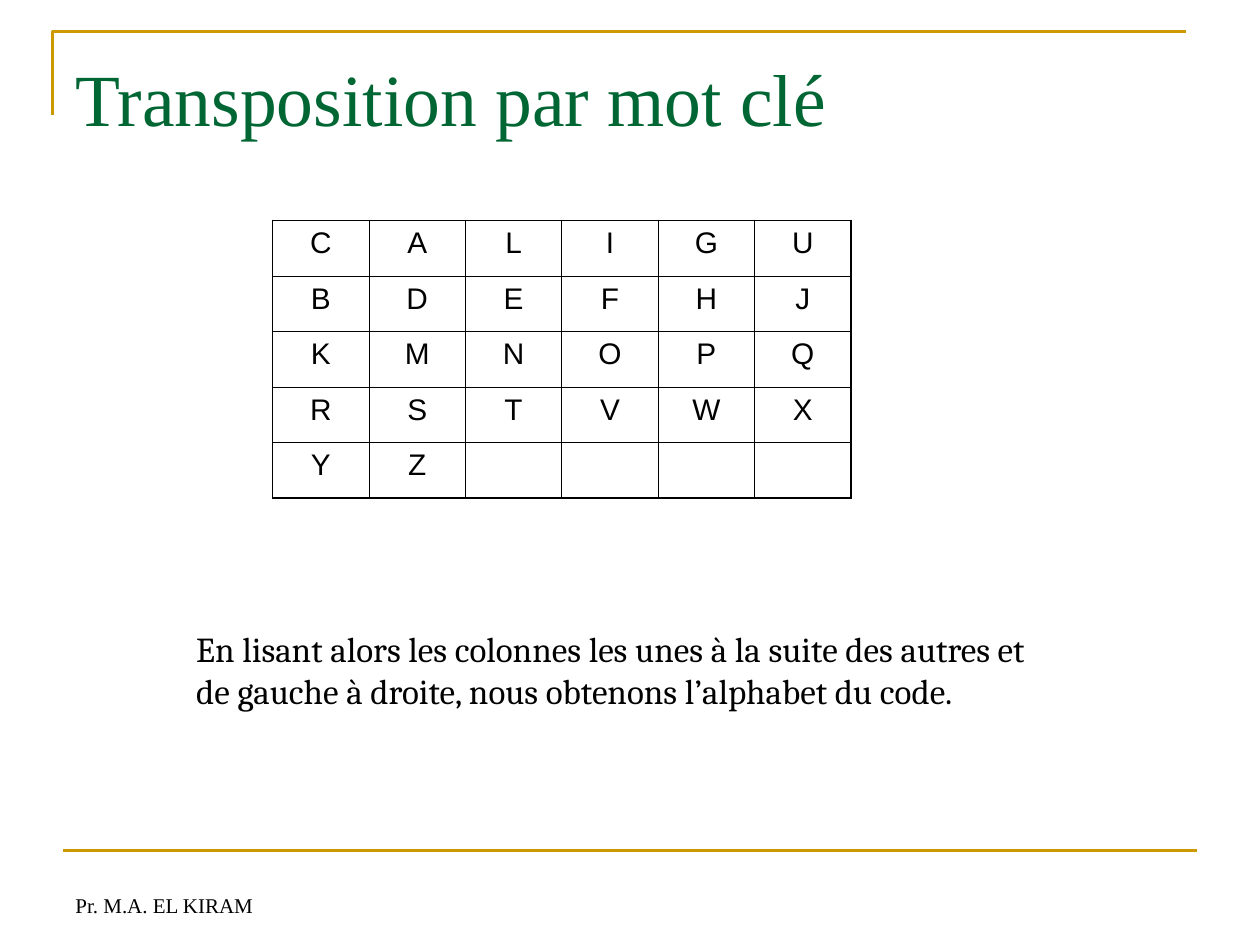
from lxml import etree
from pptx import Presentation
from pptx.dml.color import RGBColor
from pptx.enum.shapes import MSO_CONNECTOR
from pptx.enum.text import MSO_ANCHOR, PP_ALIGN
from pptx.oxml.ns import qn
from pptx.util import Pt

STRAIGHT = MSO_CONNECTOR.STRAIGHT
TOP, BOTTOM = MSO_ANCHOR.TOP, MSO_ANCHOR.BOTTOM
LEFT, CENTER = PP_ALIGN.LEFT, PP_ALIGN.CENTER

COLORS = {"gold": "CC9900", "green": "006633", "black": "000000"}
GRID = ["CALIGU", "BDEFHJ", "KMNOPQ", "RSTVWX", "YZ"]
THICK, THIN = 1.08, 0.45


def color(name):
    """Return the named colour."""
    return RGBColor.from_string(COLORS[name])


def write(frame, text, font, size, color_name, align=LEFT):
    """Write one formatted run into the first paragraph of a text frame."""
    paragraph = frame.paragraphs[0]
    paragraph.alignment = align
    run = paragraph.add_run()
    run.text = text
    run.font.name = font
    run.font.size = Pt(size)
    run.font.color.rgb = color(color_name)


def style_rule(shape):
    """Give a decorative line its gold stroke and no shadow."""
    shape.line.color.rgb = color("gold")
    shape.line.width = Pt(1.5)


def add_corner(slide, left, top, width, height):
    """Draw the open corner that frames the title."""
    builder = slide.shapes.build_freeform(Pt(left), Pt(top + height))
    builder.add_line_segments(
        [(Pt(left), Pt(top)), (Pt(left + width), Pt(top))], close=False)
    corner = builder.convert_to_shape()
    corner.fill.background()
    corner.shadow.inherit = False
    style_rule(corner)


def add_footer_rule(slide, left, top, width):
    """Draw the horizontal rule above the footer."""
    rule = slide.shapes.add_connector(
        STRAIGHT, Pt(left), Pt(top), Pt(left + width), Pt(top))
    style_rule(rule)
    etree.SubElement(rule._element.spPr, qn("a:effectLst"))


def place_title(slide, left, top, width, height):
    """Move, format and fill the title placeholder."""
    title = slide.shapes.title
    title.left, title.top = Pt(left), Pt(top)
    title.width, title.height = Pt(width), Pt(height)
    frame = title.text_frame
    frame.vertical_anchor = TOP
    frame.margin_top = Pt(8.5)
    write(frame, "Transposition par mot clé", "Times New Roman", 42, "green")


def add_text(slide, left, top, width, height, text, font, size, anchor=TOP):
    """Add a wrapped text box with black text."""
    box = slide.shapes.add_textbox(Pt(left), Pt(top), Pt(width), Pt(height))
    frame = box.text_frame
    frame.word_wrap = True
    frame.vertical_anchor = anchor
    write(frame, text, font, size, "black")


def set_borders(cell, widths):
    """Insert black cell borders ahead of the fill, by side."""
    properties = cell._tc.get_or_add_tcPr()
    for position, (side, width) in enumerate(widths.items()):
        line = etree.Element(qn(f"a:ln{side}"), w=str(Pt(width)))
        fill = etree.SubElement(line, qn("a:solidFill"))
        etree.SubElement(fill, qn("a:srgbClr"), val=COLORS["black"])
        properties.insert(position, line)


def add_key_table(slide, left, top, width, height):
    """Add the keyword grid with thicker outer borders."""
    row_count, column_count = len(GRID), len(GRID[0])
    table = slide.shapes.add_table(
        row_count, column_count, Pt(left), Pt(top), Pt(width), Pt(height)).table
    table.first_row = table.horz_banding = False
    for row in range(row_count):
        for column, letter in enumerate(GRID[row].ljust(column_count)):
            cell = table.cell(row, column)
            cell.fill.background()
            set_borders(cell, {
                "L": THICK if column == 0 else THIN,
                "R": THICK if column == column_count - 1 else THIN,
                "T": THICK if row == 0 else THIN,
                "B": THICK if row == row_count - 1 else THIN,
            })
            if letter.strip():
                write(cell.text_frame, letter, "Arial", 17, "black", CENTER)


def main():
    """Build the slide and save it."""
    presentation = Presentation()
    presentation.slide_width, presentation.slide_height = Pt(720), Pt(540)
    slide = presentation.slides.add_slide(presentation.slide_layouts[5])
    add_corner(slide, 30, 18, 648, 48)
    add_footer_rule(slide, 36, 486, 648)
    add_text(slide, 36, 492, 168, 36, "Pr. M.A. EL KIRAM",
             "Times New Roman", 12, BOTTOM)
    place_title(slide, 36, 21.6, 648, 90)
    add_key_table(slide, 155.8, 126, 330.5, 158.5)
    add_text(slide, 105, 355, 510.5, 79,
             "En lisant alors les colonnes les unes à la suite des autres et "
             "de gauche à droite, nous obtenons l’alphabet du code.",
             "Cambria", 20)
    presentation.save("out.pptx")


if __name__ == "__main__":
    main()
